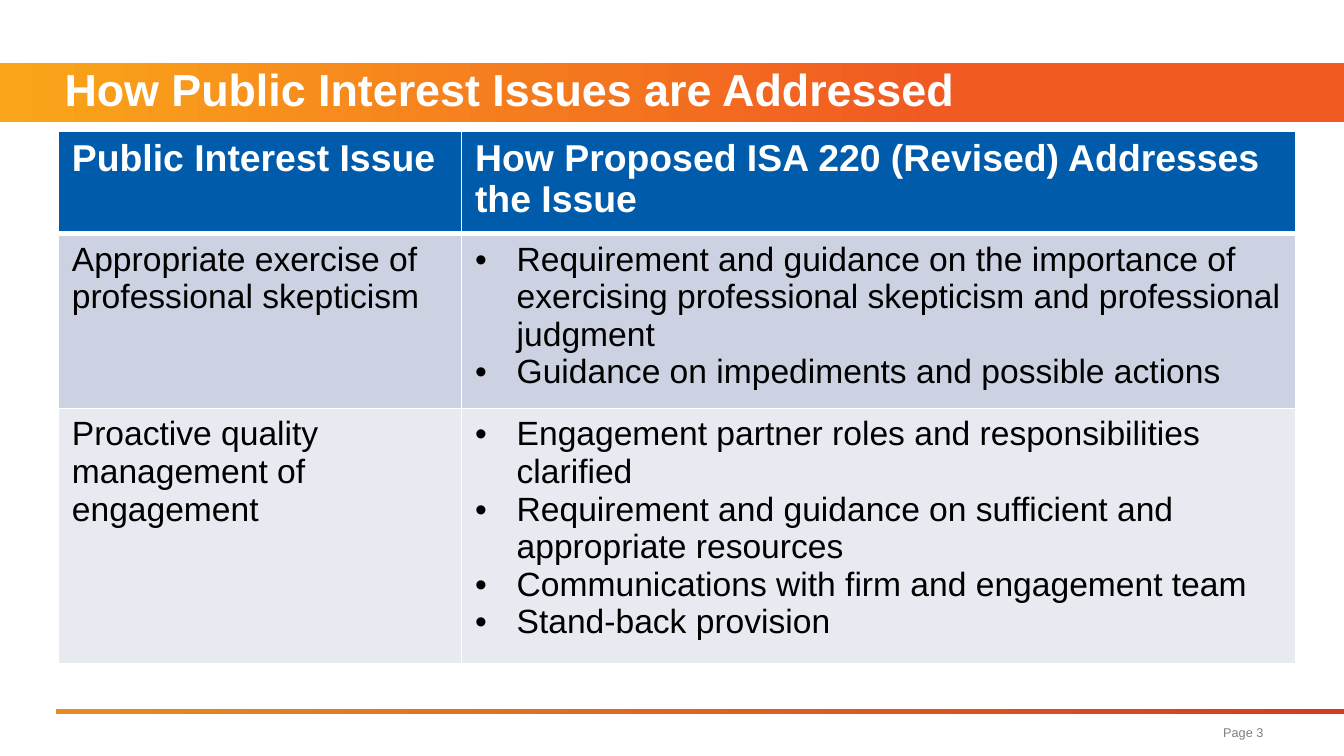
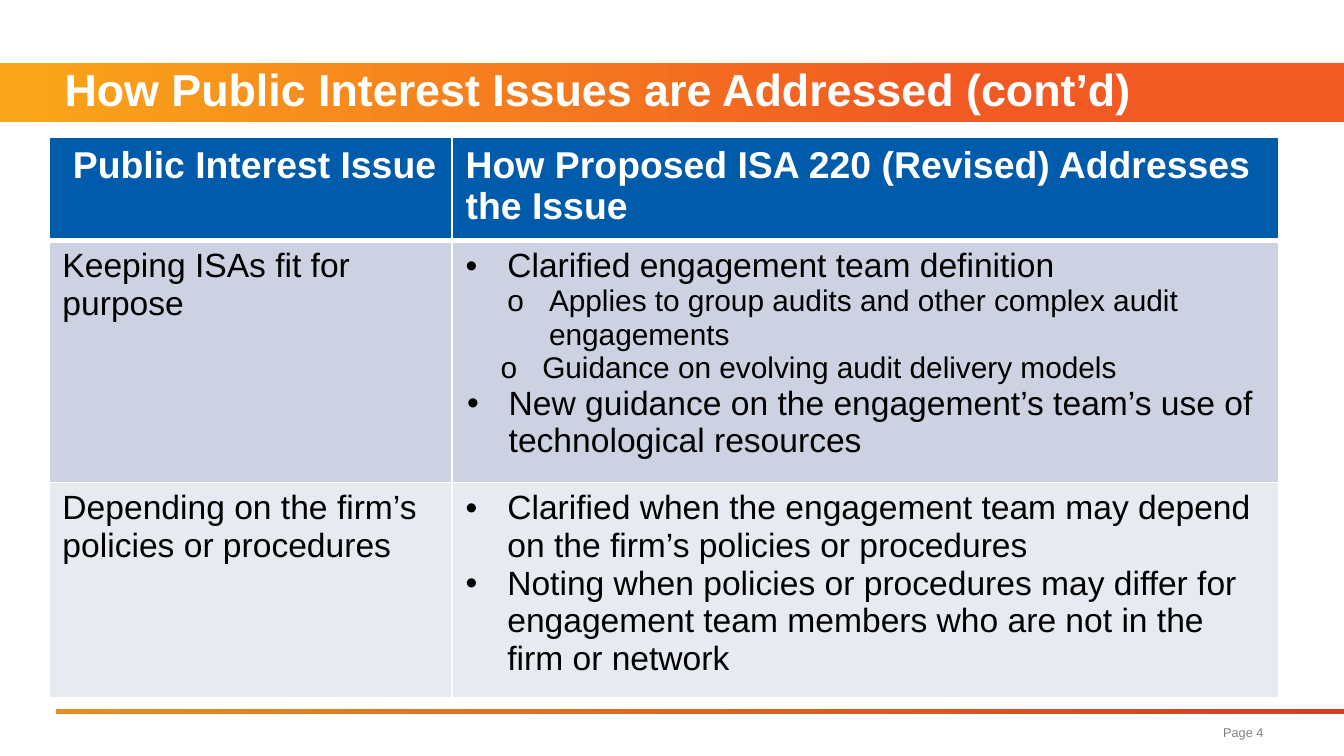
from lxml import etree
from pptx import Presentation
from pptx.dml.color import RGBColor
from pptx.enum.shapes import MSO_SHAPE
from pptx.enum.text import MSO_ANCHOR, MSO_AUTO_SIZE, PP_ALIGN
from pptx.oxml.ns import qn
from pptx.util import Inches, Pt

RECT = MSO_SHAPE.RECTANGLE
MIDDLE, TOP = MSO_ANCHOR.MIDDLE, MSO_ANCHOR.TOP
LEFT, RIGHT = PP_ALIGN.LEFT, PP_ALIGN.RIGHT
NO_FIT = MSO_AUTO_SIZE.NONE

W = Inches(10)
H = W * 9 // 16
FONT = "Arial"
WHITE, BLACK, GREY = "FFFFFF", "000000", "808080"
ROW_FILLS = ("005BAA", "CCD2E2", "E7EAF1")
BAND_STOPS = ((0, "FAA61A"), (0.7, "F15A22"))
RULE_STOPS = ((0, "E58D23"), (0.99, "D53D20"))

BAND_BOX = (0, 8.33, 100, 7.83)
RULE_BOX = (4.17, 93.75, 95.83, 0.71)
PAGE_BOX = (64.8, 94.95, 30.2, 4.45)

HANG = 0.31
HEADING = "How Proposed ISA 220 (Revised) Addresses the Issue"

SLIDES = (
    {
        "title": "How Public Interest Issues are Addressed",
        "page": "Page 3",
        "box": (4.35, 17.3, 92.1, 70.6),
        "cols": (3, 6.21),
        "rows": (0.15, 0.11, 0.11),
        "head": "Public Interest Issue",
        "body": (
            ("Appropriate exercise of professional skepticism", (
                ("Requirement and guidance on the importance of exercising "
                 "professional skepticism and professional judgment", "•", HANG),
                ("Guidance on impediments and possible actions", "•", HANG),
            )),
            ("Proactive quality management of engagement", (
                ("Engagement partner roles and responsibilities clarified", "•", HANG),
                ("Requirement and guidance on sufficient and appropriate resources", "•", HANG),
                ("Communications with firm and engagement team", "•", HANG),
                ("Stand-back provision", "•", HANG),
            )),
        ),
    },
    {
        "title": "How Public Interest Issues are Addressed (cont’d)",
        "page": "Page 4",
        "box": (3.65, 18.2, 91.5, 74.1),
        "cols": (3, 6.15),
        "rows": (0.16, 0, 0.1),
        "head": " Public Interest Issue",
        "body": (
            ("Keeping ISAs fit for purpose", (
                ("Clarified engagement team definition", "•", HANG),
                ("Applies to group audits and other complex audit engagements", "o", 0.62),
                ("Guidance on evolving audit delivery models", "o", 0.57),
                ("New guidance on the engagement’s team’s use of technological resources",
                 "•", 0.32),
            )),
            ("Depending on the firm’s policies or procedures", (
                ("Clarified when the engagement team may depend on the firm’s policies "
                 "or procedures", "•", HANG),
                ("Noting when policies or procedures may differ for engagement team "
                 "members who are not in the firm or network", "•", HANG),
            )),
        ),
    },
)


def rgb(value):
    """Turn a hex string into a colour."""
    return RGBColor.from_string(value)


def place(box):
    """Turn percentages of the slide's size into left, top, width and height."""
    x, y, w, h = box
    return int(W * x / 100), int(H * y / 100), int(W * w / 100), int(H * h / 100)


def add_run(p, text, size, color, bold=False):
    """Append one formatted run to a paragraph."""
    r = p.add_run()
    r.text = text
    r.font.name = FONT
    r.font.size = Pt(size)
    r.font.bold = bold
    r.font.color.rgb = rgb(color)


def set_indent(p, left, bullet=None):
    """Indent a paragraph, hanging a bullet when one is given."""
    pPr = p._p.get_or_add_pPr()
    pPr.set("marL", str(Inches(left)))
    pPr.set("indent", str(-Inches(HANG) if bullet else 0))
    if bullet:
        etree.SubElement(pPr, qn("a:buFont")).set("typeface", FONT)
        etree.SubElement(pPr, qn("a:buChar")).set("char", bullet)


def add_strip(s, box, stops):
    """Draw a rectangle with a horizontal gradient."""
    sp = s.shapes.add_shape(RECT, *place(box))
    sp.shadow.inherit = False
    sp.line.fill.background()
    sp.fill.gradient()
    sp.fill.gradient_angle = 0
    for stop, (position, color) in zip(sp.fill.gradient_stops, stops):
        stop.position = position
        stop.color.rgb = rgb(color)
    return sp


def add_title(s, box, text):
    """Draw the title band and set the title on it."""
    title = s.shapes.title
    title.element.addprevious(add_strip(s, box, BAND_STOPS).element)
    title.left, title.top, title.width, title.height = place(box)
    tf = title.text_frame
    tf.word_wrap = True
    tf.auto_size = NO_FIT
    tf.vertical_anchor = MIDDLE
    p = tf.paragraphs[0]
    set_indent(p, 0.38)
    p.alignment = LEFT
    p.line_spacing = Pt(24)
    add_run(p, text, 24, WHITE, True)


def add_footer(s, rule_box, page_box, text):
    """Draw the footer rule and the page label."""
    add_strip(s, rule_box, RULE_STOPS)
    tf = s.shapes.add_textbox(*place(page_box)).text_frame
    tf.word_wrap = True
    p = tf.paragraphs[0]
    p.alignment = RIGHT
    add_run(p, text, 6.8, GREY)


def set_borders(cell, bottom):
    """Give a cell white borders with the given bottom width."""
    tcPr = cell._tc.get_or_add_tcPr()
    widths = (("a:lnL", 1), ("a:lnR", 1), ("a:lnT", 1), ("a:lnB", bottom))
    for i, (tag, width) in enumerate(widths):
        ln = etree.Element(qn(tag), w=str(Pt(width)))
        fill = etree.SubElement(ln, qn("a:solidFill"))
        etree.SubElement(fill, qn("a:srgbClr")).set("val", WHITE)
        tcPr.insert(i, ln)


def fill_cell(cell, items, header, color):
    """Style a cell and write its paragraphs."""
    cell.fill.solid()
    cell.fill.fore_color.rgb = rgb(color)
    cell.vertical_anchor = TOP
    set_borders(cell, 3 if header else 1)
    tf = cell.text_frame
    for i, (text, bullet, left) in enumerate(items):
        p = tf.add_paragraph() if i else tf.paragraphs[0]
        set_indent(p, left, bullet)
        size = 20 if header else 16 if bullet == "o" else 18
        add_run(p, text, size, WHITE if header else BLACK, header)


def add_issue_table(s, box, data):
    """Build the table of issues and responses inside a box."""
    x, y, w, h = place(box)
    cols, rows = data["cols"], data["rows"]
    frame = s.shapes.add_table(len(rows), len(cols), x, y, w, h)
    table = frame.table
    table.horz_banding = False
    for column, share in zip(table.columns, cols):
        column.width = int(w * share / sum(cols))
    for row, share in zip(table.rows, rows):
        row.height = int(h * share)
    frame.height = h
    content = [[[(data["head"], None, 0)], [(HEADING, None, 0)]]]
    content += [[[(issue, None, 0)], answers] for issue, answers in data["body"]]
    for i, line in enumerate(content):
        for j, items in enumerate(line):
            fill_cell(table.cell(i, j), items, i == 0, ROW_FILLS[i])


def add_issue_slide(prs, data):
    """Add one slide with title, footer and issue table."""
    s = prs.slides.add_slide(prs.slide_layouts[5])
    add_title(s, BAND_BOX, data["title"])
    add_footer(s, RULE_BOX, PAGE_BOX, data["page"])
    add_issue_table(s, data["box"], data)


def main():
    """Build and save the presentation."""
    prs = Presentation()
    prs.slide_width, prs.slide_height = W, H
    for data in SLIDES:
        add_issue_slide(prs, data)
    prs.save("out.pptx")


if __name__ == "__main__":
    main()
